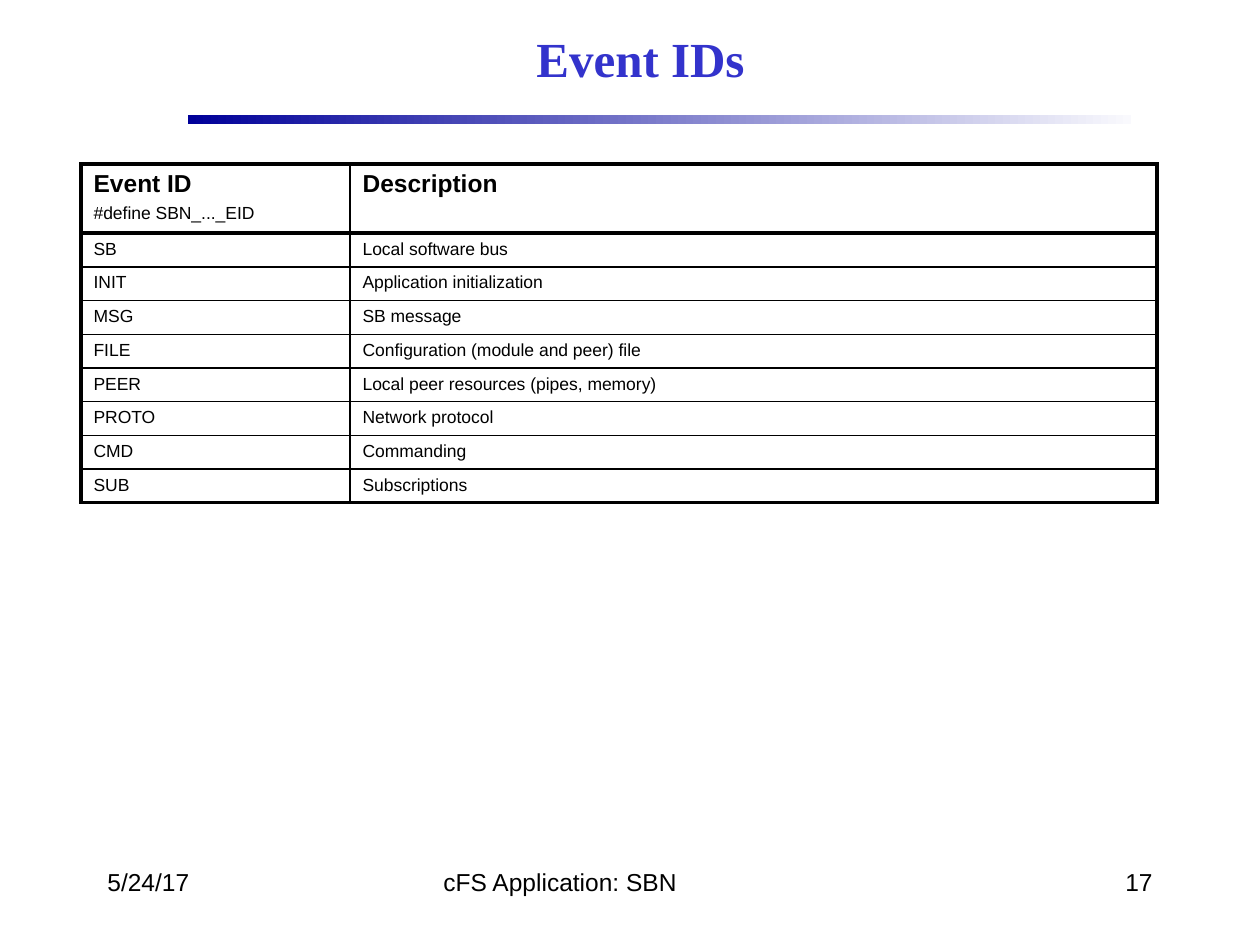
import dataclasses

import lxml.etree
import pptx
import pptx.dml.color
import pptx.enum.shapes
import pptx.enum.text
import pptx.oxml.ns
import pptx.util

PX = 914400 // 126
BLACK = pptx.dml.color.RGBColor(0x00, 0x00, 0x00)
WHITE = pptx.dml.color.RGBColor(0xFF, 0xFF, 0xFF)
TITLE_BLUE = pptx.dml.color.RGBColor(0x33, 0x33, 0xCC)
RULE_START = pptx.dml.color.RGBColor(0x00, 0x00, 0x99)
RULE_END = pptx.dml.color.RGBColor(0xF9, 0xF9, 0xFD)
THICK, THIN = 2.25, 1
ALIGN = pptx.enum.text.PP_ALIGN
ANCHOR = pptx.enum.text.MSO_ANCHOR


@dataclasses.dataclass
class Style:
    size: int
    bold: bool = False
    font: str = "Arial"
    color: pptx.dml.color.RGBColor = BLACK


@dataclasses.dataclass
class Label:
    text: str
    left: int
    top: int
    width: int
    height: int
    style: Style
    align: ALIGN = ALIGN.LEFT
    anchor: ANCHOR = ANCHOR.TOP


@dataclasses.dataclass
class Event:
    name: str
    description: str


HEADING = Style(14, bold=True)
BODY = Style(10)
FOOTER = Style(14)
TITLE = Style(28, bold=True, font="Times New Roman", color=TITLE_BLUE)

LABELS = [
    Label("Event IDs", 189, 10, 903, 95, TITLE, ALIGN.CENTER, ANCHOR.MIDDLE),
    Label("5/24/17", 95, 861, 262, 63, FOOTER),
    Label("cFS Application: SBN", 431, 861, 399, 63, FOOTER),
    Label("17", 903, 861, 262, 63, FOOTER, ALIGN.RIGHT),
]
EVENTS = [
    Event("SB", "Local software bus"),
    Event("INIT", "Application initialization"),
    Event("MSG", "SB message"),
    Event("FILE", "Configuration (module and peer) file"),
    Event("PEER", "Local peer resources (pipes, memory)"),
    Event("PROTO", "Network protocol"),
    Event("CMD", "Commanding"),
    Event("SUB", "Subscriptions"),
]


def px(value: int) -> pptx.util.Emu:
    return pptx.util.Emu(value * PX)


def format_paragraph(paragraph, style: Style) -> None:
    for run in paragraph.runs:
        run.font.size = pptx.util.Pt(style.size)
        run.font.bold = style.bold
        run.font.name = style.font
        run.font.color.rgb = style.color


def add_label(slide, label: Label) -> None:
    box = slide.shapes.add_textbox(
        px(label.left), px(label.top), px(label.width), px(label.height))
    frame = box.text_frame
    frame.word_wrap = True
    frame.vertical_anchor = label.anchor
    frame.text = label.text
    frame.paragraphs[0].alignment = label.align
    format_paragraph(frame.paragraphs[0], label.style)


def set_borders(cell, widths: dict[str, float]) -> None:
    properties = cell._tc.get_or_add_tcPr()
    for index, (side, width) in enumerate(widths.items()):
        line = lxml.etree.Element(
            pptx.oxml.ns.qn(f"a:{side}"), w=str(pptx.util.Pt(width)))
        fill = lxml.etree.SubElement(line, pptx.oxml.ns.qn("a:solidFill"))
        lxml.etree.SubElement(fill, pptx.oxml.ns.qn("a:srgbClr"), val=str(BLACK))
        properties.insert(index, line)


def fill_cell(cell, text: str, styles: list[Style]) -> None:
    cell.fill.solid()
    cell.fill.fore_color.rgb = WHITE
    cell.text_frame.text = text
    for paragraph, style in zip(cell.text_frame.paragraphs, styles):
        format_paragraph(paragraph, style)
        # Space before each paragraph, relative to its text size
        spacing = lxml.etree.SubElement(
            paragraph._p.get_or_add_pPr(), pptx.oxml.ns.qn("a:spcBef"))
        lxml.etree.SubElement(spacing, pptx.oxml.ns.qn("a:spcPct"), val="35000")


def add_event_table(slide, events: list[Event]) -> None:
    header_height, body_height = px(66), px(268)
    column_widths = [px(269), px(807)]
    table = slide.shapes.add_table(
        len(events) + 1, 2, px(81), px(164),
        sum(column_widths), header_height + body_height).table
    table.first_row = table.horz_banding = False
    for column, width in zip(table.columns, column_widths):
        column.width = width
    header = Event("Event ID\n#define SBN_..._EID", "Description")
    last = len(events)
    for row, event in enumerate([header, *events]):
        is_header = row == 0
        table.rows[row].height = header_height if is_header else body_height // last
        for column, text in enumerate([event.name, event.description]):
            cell = table.cell(row, column)
            fill_cell(cell, text, [HEADING, BODY] if is_header else [BODY])
            set_borders(cell, {
                "lnL": THICK if column == 0 else THIN,
                "lnR": THICK if column == 1 else THIN,
                "lnT": THICK if row <= 1 else THIN,
                "lnB": THICK if row in (0, last) else THIN,
            })


def add_title_rule(slide) -> None:
    rule = slide.shapes.add_shape(
        pptx.enum.shapes.MSO_SHAPE.RECTANGLE, px(188), px(115), px(943), px(9))
    rule.shadow.inherit = False
    rule.line.fill.background()
    rule.fill.gradient()
    rule.fill.gradient_angle = 0
    for stop, color in zip(rule.fill.gradient_stops, [RULE_START, RULE_END]):
        stop.color.rgb = color


presentation = pptx.Presentation()
presentation.slide_width, presentation.slide_height = px(1260), px(945)
event_slide = presentation.slides.add_slide(presentation.slide_layouts[6])

# Title rule, title and footer
add_title_rule(event_slide)
for slide_label in LABELS:
    add_label(event_slide, slide_label)

# Event table
add_event_table(event_slide, EVENTS)

presentation.save("out.pptx")
